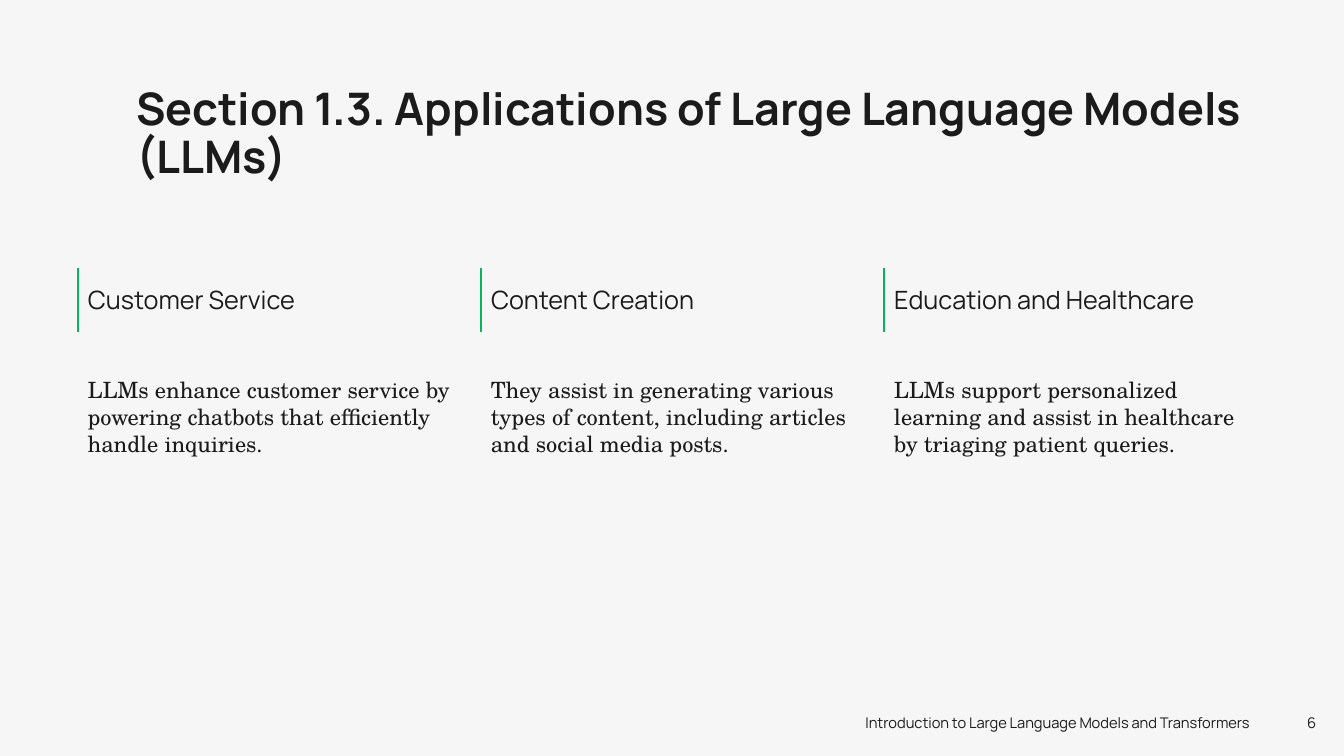
import dataclasses
import typing

import lxml.etree
import pptx
import pptx.dml.color
import pptx.enum.text
import pptx.oxml.ns
import pptx.slide
import pptx.text.text
import pptx.util

Cm = pptx.util.Cm
Pt = pptx.util.Pt
Color = pptx.dml.color.RGBColor
Anchor = pptx.enum.text.MSO_ANCHOR
Align = pptx.enum.text.PP_ALIGN


@dataclasses.dataclass(frozen=True)
class Theme:
    background: str = "F6F6F6"
    ink: str = "1B1B1B"
    accent: str = "07B65C"
    sans: str = "Manrope"
    serif: str = "TeX Gyre Schola"
    title_size: float = 32
    heading_size: float = 18
    body_size: float = 16
    footer_size: float = 10.5
    accent_width: float = 2


@dataclasses.dataclass(frozen=True)
class Box:
    left: float
    top: float
    width: float
    height: float

    def lengths(self) -> list[pptx.util.Length]:
        return [Cm(value) for value in (self.left, self.top, self.width, self.height)]


@dataclasses.dataclass(frozen=True)
class Application:
    heading: str
    description: str
    description_height: float


THEME = Theme()
COLUMN_LEFT, COLUMN_STEP, COLUMN_WIDTH = 1.96, 10.16, 9.65
HEADING_TOP, HEADING_HEIGHT, DESCRIPTION_TOP = 6.76, 1.6, 9.35
FOOTER_TOP, FOOTER_HEIGHT = 17.83, 0.81

APPLICATIONS = [
    Application(
        "Customer Service",
        "LLMs enhance customer service by powering chatbots that efficiently handle inquiries.",
        2.21,
    ),
    Application(
        "Content Creation",
        "They assist in generating various types of content, including articles and social media posts.",
        2.95,
    ),
    Application(
        "Education and Healthcare",
        "LLMs support personalized learning and assist in healthcare by triaging patient queries.",
        2.95,
    ),
]


def write(paragraph: pptx.text.text._Paragraph, text: str, size: float,
          font: str = THEME.sans, bold: bool = False) -> None:
    run = paragraph.add_run()
    run.text = text
    run.font.name = font
    run.font.size = Pt(size)
    run.font.bold = bold
    run.font.color.rgb = Color.from_string(THEME.ink)


def add_text_frame(slide: pptx.slide.Slide, box: Box,
                   anchor: Anchor = Anchor.TOP) -> pptx.text.text.TextFrame:
    frame = slide.shapes.add_textbox(*box.lengths()).text_frame
    frame.word_wrap = True
    frame.vertical_anchor = anchor
    return frame


def add_title(slide: pptx.slide.Slide, text: str) -> None:
    paragraph = add_text_frame(slide, Box(3.18, 2.06, 28.75, 2.64)).paragraphs[0]
    paragraph.line_spacing = 0.9
    write(paragraph, text, THEME.title_size, bold=True)


def add_footer(slide: pptx.slide.Slide, text: str, left: float, width: float) -> None:
    box = Box(left, FOOTER_TOP, width, FOOTER_HEIGHT)
    paragraph = add_text_frame(slide, box, Anchor.MIDDLE).paragraphs[0]
    paragraph.alignment = Align.RIGHT
    paragraph.line_spacing = 0.9
    paragraph.space_before = Pt(10)
    write(paragraph, text, THEME.footer_size)


def set_left_border_only(cell: typing.Any) -> None:
    qn = pptx.oxml.ns.qn
    properties = cell._tc.get_or_add_tcPr()
    for index, side in enumerate(("lnL", "lnR", "lnT", "lnB")):
        line = lxml.etree.Element(qn(f"a:{side}"))
        if side == "lnL":
            line.set("w", str(Pt(THEME.accent_width)))
            fill = lxml.etree.SubElement(line, qn("a:solidFill"))
            lxml.etree.SubElement(fill, qn("a:srgbClr"), val=THEME.accent)
        else:
            lxml.etree.SubElement(line, qn("a:noFill"))
        properties.insert(index, line)


def add_heading(slide: pptx.slide.Slide, text: str, box: Box) -> None:
    table = slide.shapes.add_table(1, 1, *box.lengths()).table
    table.first_row = False
    table.horz_banding = False
    cell = table.cell(0, 0)
    cell.fill.background()
    cell.vertical_anchor = Anchor.MIDDLE
    set_left_border_only(cell)
    write(cell.text_frame.paragraphs[0], text, THEME.heading_size)


def add_application(slide: pptx.slide.Slide, application: Application, left: float) -> None:
    add_heading(slide, application.heading,
                Box(left, HEADING_TOP, COLUMN_WIDTH, HEADING_HEIGHT))
    frame = add_text_frame(
        slide, Box(left, DESCRIPTION_TOP, COLUMN_WIDTH, application.description_height))
    frame.auto_size = pptx.enum.text.MSO_AUTO_SIZE.SHAPE_TO_FIT_TEXT
    write(frame.paragraphs[0], application.description, THEME.body_size, THEME.serif)


def main() -> None:
    presentation = pptx.Presentation()
    presentation.slide_width = Cm(33.87)
    presentation.slide_height = Cm(19.05)
    slide = presentation.slides.add_slide(presentation.slide_layouts[6])
    slide.background.fill.solid()
    slide.background.fill.fore_color.rgb = Color.from_string(THEME.background)

    # Title and footer
    add_title(slide, "Section 1.3. Applications of Large Language Models (LLMs)")
    add_footer(slide, "Introduction to Large Language Models and Transformers", 1.96, 29.79)
    add_footer(slide, "6", 31.9, 1.52)

    # Three columns of applications
    for index, application in enumerate(APPLICATIONS):
        add_application(slide, application, COLUMN_LEFT + index * COLUMN_STEP)

    presentation.save("out.pptx")


if __name__ == "__main__":
    main()
